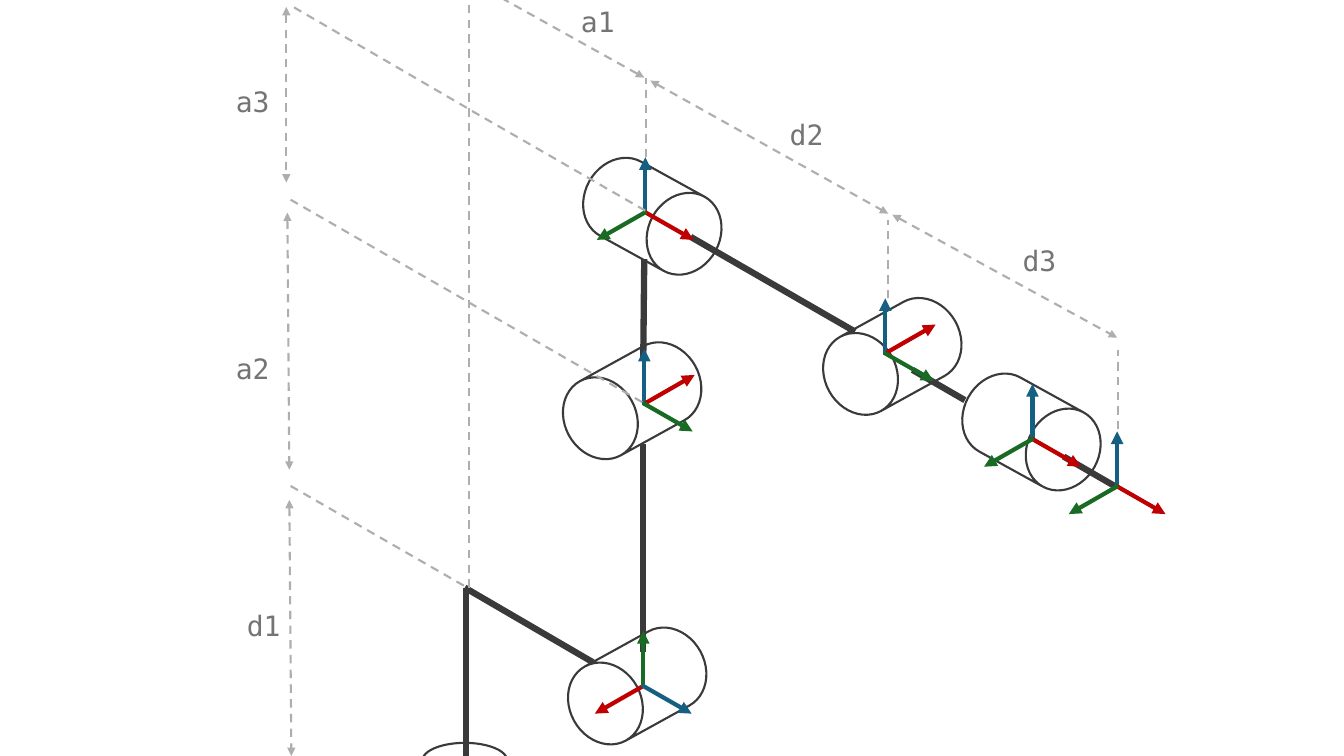
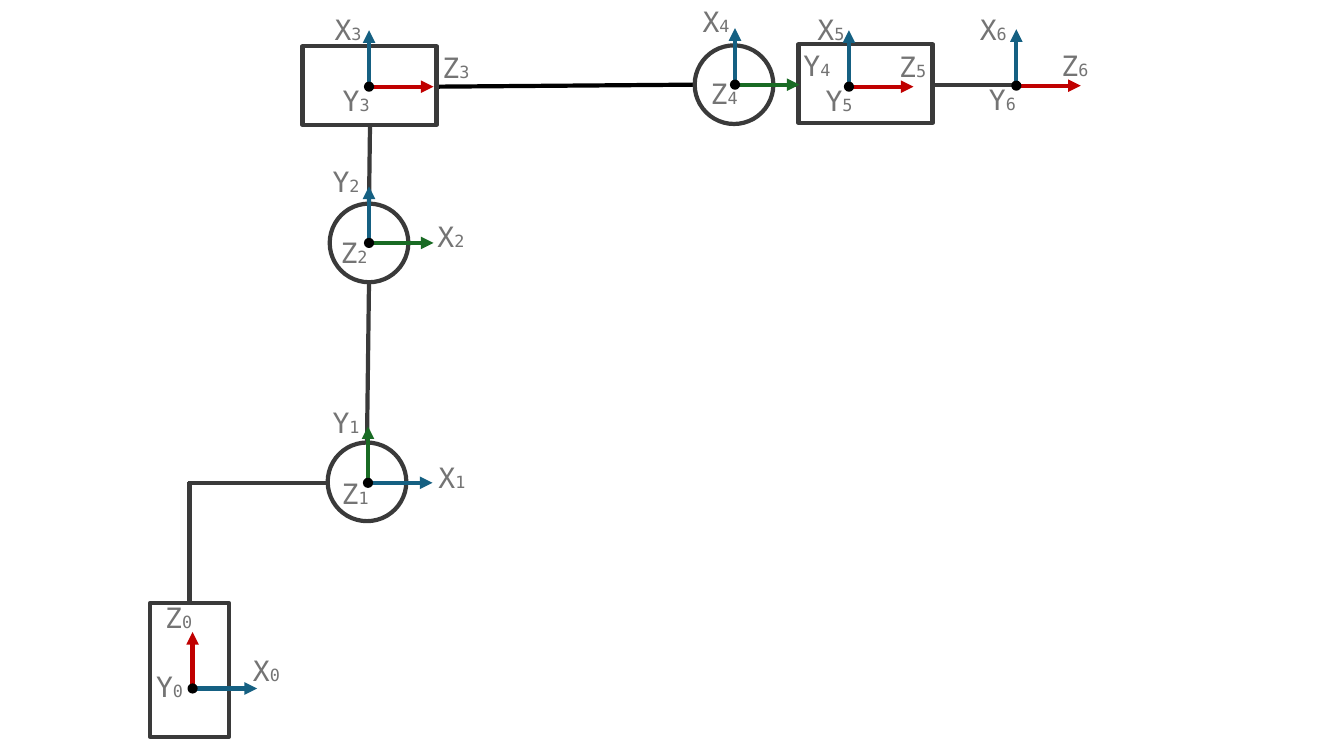
from dataclasses import dataclass

from lxml import etree
from pptx import Presentation
from pptx.dml.color import RGBColor
from pptx.enum.dml import MSO_LINE
from pptx.enum.shapes import MSO_CONNECTOR, MSO_SHAPE
from pptx.enum.text import MSO_AUTO_SIZE, PP_ALIGN
from pptx.oxml.ns import qn
from pptx.util import Emu, Pt

STRAIGHT = MSO_CONNECTOR.STRAIGHT
CAN, OVAL, RECTANGLE = MSO_SHAPE.CAN, MSO_SHAPE.OVAL, MSO_SHAPE.RECTANGLE
DASH = MSO_LINE.DASH
LEFT, CENTER = PP_ALIGN.LEFT, PP_ALIGN.CENTER
FIT_TEXT = MSO_AUTO_SIZE.SHAPE_TO_FIT_TEXT

EMU_PER_PX = 9144
SLIDE_SIZE = (1333, 750)
LABEL_SIZE = (74, 44)
BLANK_LAYOUT = 6


@dataclass(frozen=True)
class Theme:
    """Colours, type and line widths shared by both slides."""
    body: RGBColor = RGBColor(0x3A, 0x3A, 0x3A)
    black: RGBColor = RGBColor(0x00, 0x00, 0x00)
    guide: RGBColor = RGBColor(0xAE, 0xAE, 0xAE)
    label: RGBColor = RGBColor(0x74, 0x74, 0x74)
    red: RGBColor = RGBColor(0xC0, 0x00, 0x00)
    green: RGBColor = RGBColor(0x19, 0x6B, 0x24)
    blue: RGBColor = RGBColor(0x15, 0x60, 0x82)
    font: str = "DejaVu Sans Mono"
    label_size: float = 20
    index_size: float = 12
    thick: float = 4.5
    medium: float = 3
    thin: float = 1.5


THEME = Theme()

ARM_LINKS = [
    (462, 752, 462, 583),
    (638, 647, 638, 440),
    (638, 356, 639, 257),
    (588, 657, 461, 583),
    (848, 329, 685, 235),
    (957, 397, 905, 367),
    (1107, 483, 1055, 453),
]
JOINT_SIZE = (84, 143)
JOINT_POSES = {
    "upright": (0, False, 0.416),
    "toward_left": (241.1, False, 0.846),
    "toward_right": (118.9, True, 0.846),
}
JOINTS = [
    (419, 737, "upright"),
    (590, 609, "toward_left"),
    (585, 326, "toward_left"),
    (605, 143, "toward_right"),
    (843, 282, "toward_left"),
    (981, 357, "toward_right"),
]
AXIS_STARTS_AND_VECTORS = {
    "up": ((0, 2), (0, -56)),
    "right_down": ((-1, 0), (49, 28)),
    "left_down": ((1, 0), (-49, 28)),
    "right_up": ((1, 0), (49, -28)),
}
WRIST_AXES = {"up": THEME.blue, "right_down": THEME.red, "left_down": THEME.green}
ELBOW_AXES = {"up": THEME.blue, "right_up": THEME.red, "right_down": THEME.green}
SHOULDER_AXES = {"left_down": THEME.red, "up": THEME.green, "right_down": THEME.blue}
ARM_FRAMES = [
    (638, 680, SHOULDER_AXES),
    (639, 400, ELBOW_AXES),
    (640, 210, WRIST_AXES),
    (878, 350, ELBOW_AXES),
    (1024, 435, WRIST_AXES),
    (1108, 482, WRIST_AXES),
]
GUIDES = [
    (460, 581, 288, 482),
    (637, 399, 465, 300),
    (460, 297, 288, 198),
    (640, 209, 468, 110),
    (463, 107, 291, 7),
    (465, 583, 465, -20),
    (641, 156, 641, 77),
    (881, 296, 881, 218),
    (1109, 426, 1109, 347),
]
DIMENSIONS = [
    ("d1", (287, 496, 289, 750), (235, 599), LEFT),
    ("a2", (285, 211, 287, 466), (224, 344), LEFT),
    ("a3", (284, 7, 284, 181), (224, 79), LEFT),
    ("a1", (465, -20, 639, 77), (556, 0), CENTER),
    ("d2", (645, 80, 881, 212), (763, 112), CENTER),
    ("d3", (885, 213, 1108, 335), (994, 237), CENTER),
]

SIDE_LINKS = [
    (188, 598, 188, 478),
    (186, 479, 325, 479),
    (364, 439, 366, 280),
    (366, 202, 367, 125),
    (791, 84, 767, 84),
    (1008, 84, 925, 84),
]
FOREARM_LINK = (689, 84, 433, 86)
SIDE_JOINTS = [
    (OVAL, 325, 439, 78, 78),
    (RECTANGLE, 149, 598, 78, 133),
    (OVAL, 327, 202, 78, 78),
    (RECTANGLE, 300, 46, 133, 78),
    (OVAL, 689, 45, 78, 78),
    (RECTANGLE, 792, 44, 133, 78),
]
UP_LENGTH, RIGHT_LENGTH, DOT_SIZE = 56, 64, 8
SIDE_FRAMES = [
    ((191, 683), THEME.red, THEME.blue,
     {"X": (241, 643), "Z": (154, 591), "Y": (145, 659)}),
    ((365, 479), THEME.green, THEME.blue,
     {"X": (425, 452), "Y": (320, 397), "Z": (329, 468)}),
    ((366, 241), THEME.blue, THEME.green,
     {"X": (424, 213), "Y": (320, 158), "Z": (328, 229)}),
    ((366, 86), THEME.blue, THEME.red,
     {"Z": (429, 45), "X": (322, 8), "Y": (330, 78)}),
    ((729, 84), THEME.blue, THEME.green,
     {"Y": (787, 43), "X": (687, 0), "Z": (695, 71)}),
    ((842, 86), THEME.blue, THEME.red,
     {"Z": (882, 44), "X": (801, 8), "Y": (809, 78)}),
    ((1008, 85), THEME.blue, THEME.red,
     {"Z": (1043, 43), "X": (962, 7), "Y": (971, 77)}),
]


def px(*lengths):
    """Convert px lengths to EMU."""
    return [Emu(round(length * EMU_PER_PX)) for length in lengths]


def add_line(slide, ends, color, width, dash=None, arrows=()):
    """Draw a straight connector with optional dash and arrowheads."""
    connector = slide.shapes.add_connector(STRAIGHT, *px(*ends))
    connector.line.color.rgb = color
    connector.line.width = Pt(width)
    if dash is not None:
        connector.line.dash_style = dash
    properties = connector._element.spPr
    outline = properties.find(qn("a:ln"))
    for arrow in arrows:
        etree.SubElement(outline, qn(f"a:{arrow}"), type="triangle")
    etree.SubElement(properties, qn("a:effectLst"))


def add_outline(slide, kind, box, color, width, fill=None):
    """Draw a preset shape, hollow unless a fill is given."""
    shape = slide.shapes.add_shape(kind, *px(*box))
    shape.shadow.inherit = False
    if fill is None:
        shape.fill.background()
    else:
        shape.fill.solid()
        shape.fill.fore_color.rgb = fill
    shape.line.color.rgb = color
    shape.line.width = Pt(width)
    return shape


def add_label(slide, place, name, index="", align=LEFT):
    """Write a label with an optional smaller index."""
    box = slide.shapes.add_textbox(*px(*place, *LABEL_SIZE))
    frame = box.text_frame
    frame.word_wrap = True
    frame.auto_size = FIT_TEXT
    paragraph = frame.paragraphs[0]
    paragraph.alignment = align
    for text, size in ((name, THEME.label_size), (index, THEME.index_size)):
        if text:
            run = paragraph.add_run()
            run.text = text
            run.font.size = Pt(size)
            run.font.name = THEME.font
            run.font.color.rgb = THEME.label


def add_joint(slide, left, top, pose):
    """Draw a cylindrical joint in the given pose."""
    rotation, mirrored, depth = JOINT_POSES[pose]
    joint = add_outline(slide, CAN, (left, top, *JOINT_SIZE), THEME.body, THEME.thin)
    joint.adjustments[0] = depth
    joint.rotation = rotation
    if mirrored:
        joint._element.spPr.get_or_add_xfrm().set("flipH", "1")


def add_axis(slide, x, y, vector, color):
    """Draw one coordinate axis from its starting point."""
    ends = (x, y, x + vector[0], y + vector[1])
    add_line(slide, ends, color, THEME.medium, arrows=("tailEnd",))


def build_arm_slide(slide):
    """Build the arm in isometric view with its dimensions."""
    for ends in ARM_LINKS:
        add_line(slide, ends, THEME.body, THEME.thick)
    for joint in JOINTS:
        add_joint(slide, *joint)
    for x, y, axes in ARM_FRAMES:
        for direction, color in axes.items():
            (shift_x, shift_y), vector = AXIS_STARTS_AND_VECTORS[direction]
            add_axis(slide, x + shift_x, y + shift_y, vector, color)
    for ends in GUIDES:
        add_line(slide, ends, THEME.guide, THEME.thin, DASH)
    for name, ends, place, align in DIMENSIONS:
        add_line(slide, ends, THEME.guide, THEME.thin, DASH, ("headEnd", "tailEnd"))
        add_label(slide, place, name, align=align)


def build_side_slide(slide):
    """Build the side view with its numbered coordinate frames."""
    add_line(slide, FOREARM_LINK, THEME.black, THEME.medium)
    for kind, *box in SIDE_JOINTS:
        add_outline(slide, kind, box, THEME.body, THEME.medium)
    for ends in SIDE_LINKS:
        add_line(slide, ends, THEME.body, THEME.medium)
    for index, ((x, y), up_color, right_color, labels) in enumerate(SIDE_FRAMES):
        add_axis(slide, x, y, (0, -UP_LENGTH), up_color)
        add_axis(slide, x, y, (RIGHT_LENGTH, 0), right_color)
        dot = (x - DOT_SIZE / 2, y - DOT_SIZE / 2, DOT_SIZE, DOT_SIZE)
        add_outline(slide, OVAL, dot, THEME.black, THEME.thin, THEME.black)
        for name, place in labels.items():
            add_label(slide, place, name, str(index))


def main():
    """Build and save the presentation."""
    presentation = Presentation()
    presentation.slide_width, presentation.slide_height = px(*SLIDE_SIZE)
    layout = presentation.slide_layouts[BLANK_LAYOUT]
    for build in (build_arm_slide, build_side_slide):
        build(presentation.slides.add_slide(layout))
    presentation.save("out.pptx")


if __name__ == "__main__":
    main()
